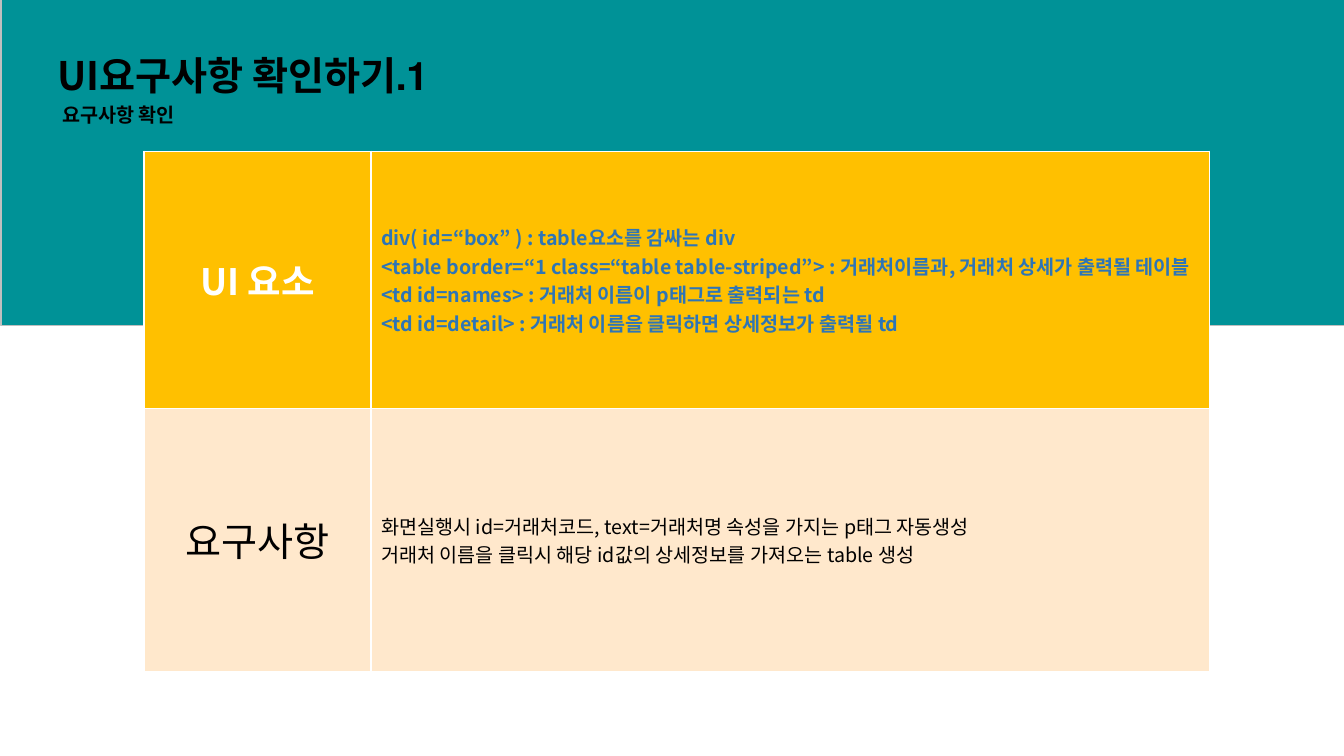
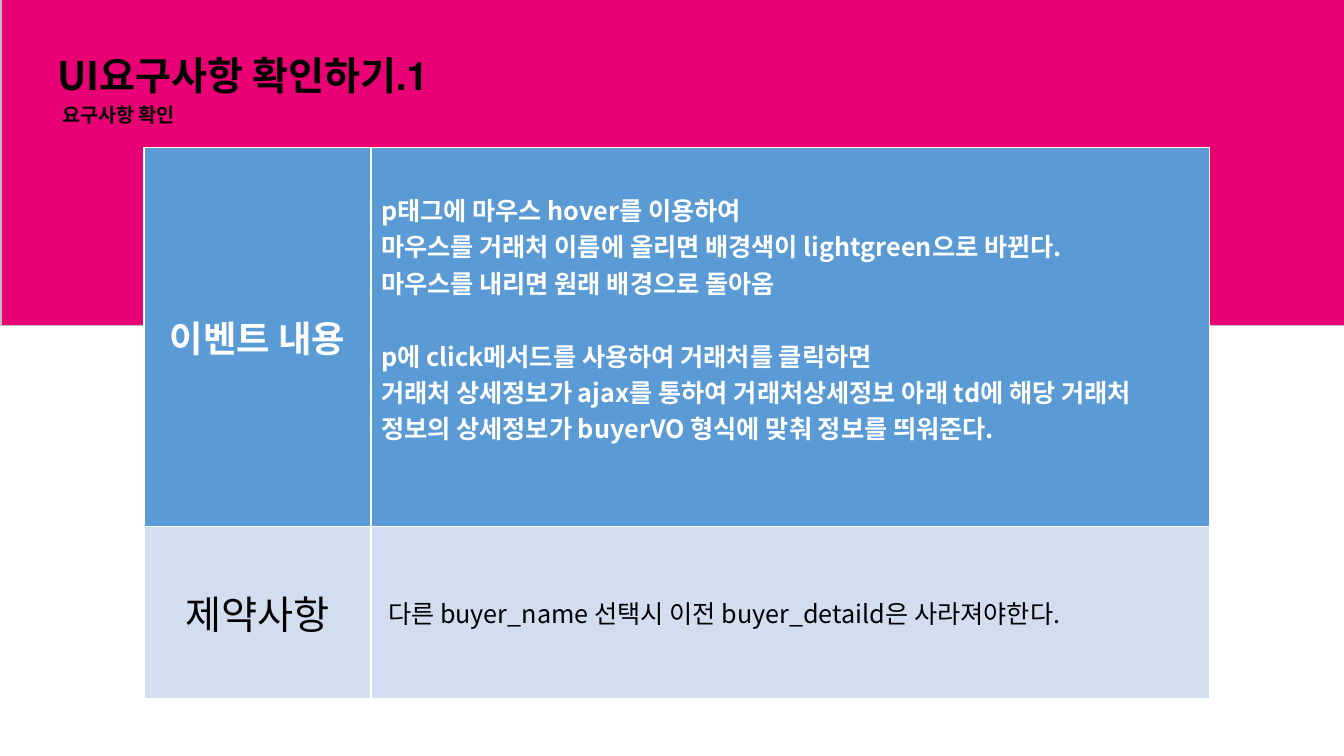
from collections import namedtuple

from pptx import Presentation
from pptx.dml.color import RGBColor
from pptx.enum.shapes import MSO_SHAPE
from pptx.enum.text import MSO_ANCHOR, MSO_AUTO_SIZE, PP_ALIGN
from pptx.oxml import parse_xml
from pptx.oxml.ns import nsdecls, qn
from pptx.util import Cm, Pt

Box = namedtuple("Box", "left top width height")
Label = namedtuple("Label", "text size bold color")
Detail = namedtuple("Detail", "lines size bold color margins gap_before", defaults=({}, None))
Row = namedtuple("Row", "height fill label detail")

FONT = "Noto Sans CJK KR"
COLORS = {
    "black": "000000", "white": "FFFFFF", "outline": "BFBFBF",
    "teal": "009297", "pink": "E80074",
    "gold": "FFC000", "cream": "FFE8CC", "code": "2E75B6",
    "blue": "5B9BD5", "pale": "D2DEEF",
}
SLIDE_SIZE = (Cm(33.87), Cm(19.05))
BAND = Box(Cm(0.03), Cm(-0.81), Cm(34.19), Cm(9.02))
HEADING = Box(Cm(1.19), Cm(0.71), Cm(14.3), Cm(2.59))
LABEL_WIDTH = Cm(5.72)
BLANK_LINE = Pt(26)

SLIDES = [
    ("teal", Box(Cm(3.63), Cm(3.81), Cm(26.85), Cm(13.11)), [
        Row(Cm(6.48), "gold", Label("UI 요소", 26, True, "white"), Detail([
            "div( id=“box” ) : table요소를 감싸는 div",
            "<table border=“1 class=“table table-striped”> : 거래처이름과, 거래처 상세가 출력될 테이블",
            "<td id=names> : 거래처 이름이 p태그로 출력되는 td",
            "<td id=detail> : 거래처 이름을 클릭하면 상세정보가 출력될 td",
        ], 14, True, "code")),
        Row(Cm(6.63), "cream", Label("요구사항", 28, False, "black"), Detail([
            "화면실행시 id=거래처코드, text=거래처명 속성을 가지는 p태그 자동생성",
            "거래처 이름을 클릭시 해당 id값의 상세정보를 가져오는 table 생성",
        ], 14, False, "black")),
    ]),
    ("pink", Box(Cm(3.63), Cm(3.71), Cm(26.85), Cm(13.89)), [
        Row(Cm(9.55), "blue", Label("이벤트 내용", 26, True, "white"), Detail([
            "p태그에 마우스 hover를 이용하여",
            "마우스를 거래처 이름에 올리면 배경색이 lightgreen으로 바뀐다.",
            "마우스를 내리면 원래 배경으로 돌아옴",
            "p에 click메서드를 사용하여 거래처를 클릭하면",
            "거래처 상세정보가 ajax를 통하여 거래처상세정보 아래 td에 해당 거래처 정보의 "
            "상세정보가 buyerVO 형식에 맞춰 정보를 띄워준다.",
        ], 18, True, "white", {"margin_bottom": Cm(1.04)}, 3)),
        Row(Cm(4.34), "pale", Label("제약사항", 28, False, "black"), Detail([
            "다른 buyer_name 선택시 이전 buyer_detaild은 사라져야한다.",
        ], 18, False, "black", {"margin_left": Cm(0.43)})),
    ]),
]


def apply_format(target, values):
    """Set every attribute in values on the target."""
    for name, value in values.items():
        setattr(target, name, value)


def color(name):
    """Return the named palette colour."""
    return RGBColor.from_string(COLORS[name])


def write_line(paragraph, text, size, bold, color_name):
    """Write one formatted run into a paragraph."""
    run = paragraph.add_run()
    run.text = text
    apply_format(run.font, {"name": FONT, "size": Pt(size), "bold": bold})
    run.font.color.rgb = color(color_name)


def add_band(slide, box, fill):
    """Draw the coloured band behind the title."""
    shape = slide.shapes.add_shape(MSO_SHAPE.RECTANGLE, *box)
    shape.shadow.inherit = False
    shape.fill.solid()
    shape.fill.fore_color.rgb = color(fill)
    shape.line.color.rgb = color("outline")
    shape.line.width = Pt(1)
    slide.shapes.title.element.addprevious(shape.element)


def write_heading(shape, text, size, anchor, spacing):
    """Write one right-to-left heading line, aligned left."""
    apply_format(shape.text_frame, {
        "word_wrap": True, "auto_size": MSO_AUTO_SIZE.NONE, "vertical_anchor": anchor})
    paragraph = shape.text_frame.paragraphs[0]
    apply_format(paragraph, {"alignment": PP_ALIGN.LEFT, "line_spacing": spacing})
    write_line(paragraph, text, size, True, "black")
    for properties in shape.element.iter(qn("a:pPr")):
        properties.set("rtl", "1")


def add_heading(slide, box):
    """Place the title and the subtitle in the heading box."""
    title = slide.shapes.title
    apply_format(title, {"left": box.left, "top": box.top,
                         "width": Cm(11.76), "height": box.height})
    write_heading(title, "1.UI요구사항 확인하기", 28, MSO_ANCHOR.MIDDLE, 0.8)
    subtitle = slide.shapes.add_textbox(
        box.left + Cm(0.13), box.top + Cm(1.75), box.width - Cm(0.13), Cm(0.84))
    write_heading(subtitle, "요구사항 확인", 14, MSO_ANCHOR.TOP, 1.0)


def style_cell(cell, fill):
    """Give a cell white borders, a fill and middle anchoring."""
    properties = cell._tc.get_or_add_tcPr()
    for side in ("lnL", "lnR", "lnT", "lnB"):
        properties.append(parse_xml(
            f'<a:{side} {nsdecls("a")} w="{Pt(1)}"><a:solidFill>'
            f'<a:srgbClr val="{COLORS["white"]}"/></a:solidFill></a:{side}>'))
    cell.fill.solid()
    cell.fill.fore_color.rgb = color(fill)
    cell.vertical_anchor = MSO_ANCHOR.MIDDLE


def fill_detail(cell, detail):
    """Write the detail lines into a cell."""
    apply_format(cell, detail.margins)
    for index, text in enumerate(detail.lines):
        frame = cell.text_frame
        paragraph = frame.add_paragraph() if index else frame.paragraphs[0]
        if index == detail.gap_before:
            paragraph.space_before = BLANK_LINE
        write_line(paragraph, text, detail.size, detail.bold, detail.color)


def add_requirements(slide, box, rows):
    """Add the table of labels and details in its box."""
    table = slide.shapes.add_table(len(rows), 2, *box).table
    apply_format(table, {"first_row": False, "horz_banding": False})
    table.columns[0].width = LABEL_WIDTH
    table.columns[1].width = box.width - LABEL_WIDTH
    for index, row in enumerate(rows):
        table.rows[index].height = row.height
        label_cell, detail_cell = table.cell(index, 0), table.cell(index, 1)
        for cell in (label_cell, detail_cell):
            style_cell(cell, row.fill)
        paragraph = label_cell.text_frame.paragraphs[0]
        paragraph.alignment = PP_ALIGN.CENTER
        write_line(paragraph, *row.label)
        fill_detail(detail_cell, row.detail)


def set_east_asian_font(slide):
    """Use the same typeface for Korean letters as for Latin ones."""
    for latin in list(slide.element.iter(qn("a:latin"))):
        latin.addnext(parse_xml(f'<a:ea {nsdecls("a")} typeface="{FONT}"/>'))


def add_requirement_slide(presentation, band_fill, table_box, rows):
    """Build one slide with band, heading and table."""
    slide = presentation.slides.add_slide(presentation.slide_layouts[5])
    add_band(slide, BAND, band_fill)
    add_heading(slide, HEADING)
    add_requirements(slide, table_box, rows)
    set_east_asian_font(slide)


def main():
    """Build and save the presentation."""
    presentation = Presentation()
    presentation.slide_width, presentation.slide_height = SLIDE_SIZE
    for content in SLIDES:
        add_requirement_slide(presentation, *content)
    presentation.save("out.pptx")


if __name__ == "__main__":
    main()
